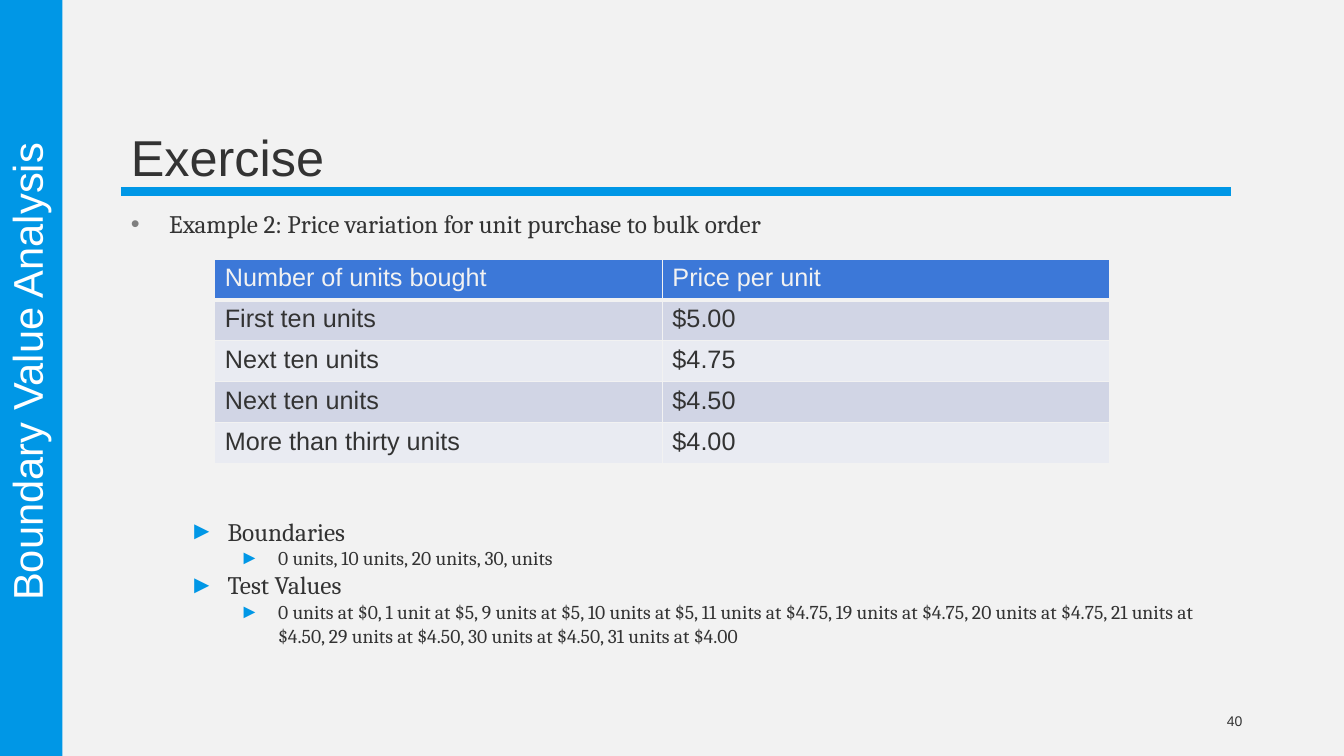
"""Build the boundary value analysis exercise slide."""
from lxml import etree
from pptx import Presentation
from pptx.dml.color import RGBColor
from pptx.enum import shapes, text
from pptx.oxml import ns
from pptx.util import Inches, Pt

C = {"bg": "F2F2F2", "accent": "0097E6", "ink": "333333", "bullet": "7F7F7F",
     "white": "FFFFFF", "header": "3C78D8", "odd": "D1D5E5", "even": "E9EBF2"}
A = text.PP_ALIGN
V = text.MSO_ANCHOR


def sub(parent, tag, **attrs):
    return etree.SubElement(parent, ns.qn(tag), attrs)


def write(tf, content, first=True, size=18, font="Arial", color="ink", align=A.LEFT,
          anchor=V.TOP, spacing=None, indent=None, bullet="►", bullet_color="accent"):
    tf.word_wrap = True
    tf.vertical_anchor = anchor
    p = tf.paragraphs[0] if first else tf.add_paragraph()
    p.alignment = align
    if spacing:
        p.line_spacing = spacing
    if indent:
        pPr = p._p.get_or_add_pPr()
        pPr.set("marL", str(Inches(indent)))
        pPr.set("indent", str(Inches(-0.38)))
        sub(sub(pPr, "a:buClr"), "a:srgbClr", val=C[bullet_color])
        sub(pPr, "a:buFont", typeface="Arial")
        sub(pPr, "a:buChar", char=bullet)
    r = p.add_run()
    r.text = content
    r.font.size = Pt(size)
    r.font.name = font
    r.font.bold = False
    r.font.color.rgb = RGBColor.from_string(C[color])


prs = Presentation()
prs.slide_width, prs.slide_height = Inches(13.33), Inches(7.5)
s = prs.slides.add_slide(prs.slide_layouts[6])
s.background.fill.solid()
s.background.fill.fore_color.rgb = RGBColor.from_string(C["bg"])

rule = s.shapes.add_connector(shapes.MSO_CONNECTOR.STRAIGHT,
                              Inches(1.2), Inches(1.9), Inches(12.21), Inches(1.9))
rule.line.color.rgb = RGBColor.from_string(C["accent"])
rule.line.width = Pt(6)
sub(rule._element.spPr, "a:effectLst")

band = s.shapes.add_shape(shapes.MSO_SHAPE.RECTANGLE, 0, 0, Inches(0.62), Inches(7.5))
band.shadow.inherit = False
band.fill.solid()
band.fill.fore_color.rgb = RGBColor.from_string(C["accent"])
band.line.fill.background()

boxes = [
    ("Exercise", (1.2, 0.31, 11, 1.59), 0, dict(size=36, anchor=V.BOTTOM, spacing=1.61)),
    ("Example 2: Price variation for unit purchase to bulk order", (1.2, 2.02, 11, 0.4), 0,
     dict(font="Cambria", indent=0.38, bullet="•", bullet_color="bullet")),
    ("40", (9.42, 6.95, 3, 0.4), 0, dict(size=10, align=A.RIGHT, anchor=V.MIDDLE)),
    ("Boundary Value Analysis", (-3.06, 3.44, 6.74, 0.5), 270,
     dict(size=29.7, color="white", align=A.CENTER, anchor=V.BOTTOM, spacing=0.85)),
]
for content, place, rotation, style in boxes:
    sp = s.shapes.add_textbox(*map(Inches, place))
    sp.rotation = rotation
    write(sp.text_frame, content, **style)

prices = [("Number of units bought", "Price per unit"), ("First ten units", "$5.00"),
          ("Next ten units", "$4.75"), ("Next ten units", "$4.50"),
          ("More than thirty units", "$4.00")]
table = s.shapes.add_table(len(prices), 2, Inches(2.13), Inches(2.57),
                           Inches(8.88), Inches(2.03)).table
for i, row in enumerate(prices):
    table.rows[i].height = Inches(2.03 / len(prices))
    fill = "header" if i == 0 else "odd" if i % 2 else "even"
    for j, value in enumerate(row):
        cell = table.cell(i, j)
        write(cell.text_frame, value, color="ink" if i else "bg")
        tcPr = cell._tc.get_or_add_tcPr()
        for side in "LRTB":
            thick = (i, side) in [(0, "B"), (1, "T")]
            ln = sub(tcPr, f"a:ln{side}", w=str(Pt(3 if thick else 1)))
            sub(sub(ln, "a:solidFill"), "a:srgbClr", val=C["bg"])
        cell.fill.solid()
        cell.fill.fore_color.rgb = RGBColor.from_string(C[fill])

answers = [
    ("Boundaries", "0 units, 10 units, 20 units, 30, units"),
    ("Test Values", "0 units at $0, 1 unit at $5, 9 units at $5, 10 units at $5, "
     "11 units at $4.75, 19 units at $4.75, 20 units at $4.75, 21 units at $4.50, "
     "29 units at $4.50, 30 units at $4.50, 31 units at $4.00"),
]
tf = s.shapes.add_textbox(Inches(1.16), Inches(5.07), Inches(11), Inches(1.59)).text_frame
for k, (heading, values) in enumerate(answers):
    write(tf, heading, first=k == 0, font="Cambria", indent=1)
    write(tf, values, first=False, size=14, font="Cambria", indent=1.5)

prs.save("out.pptx")
